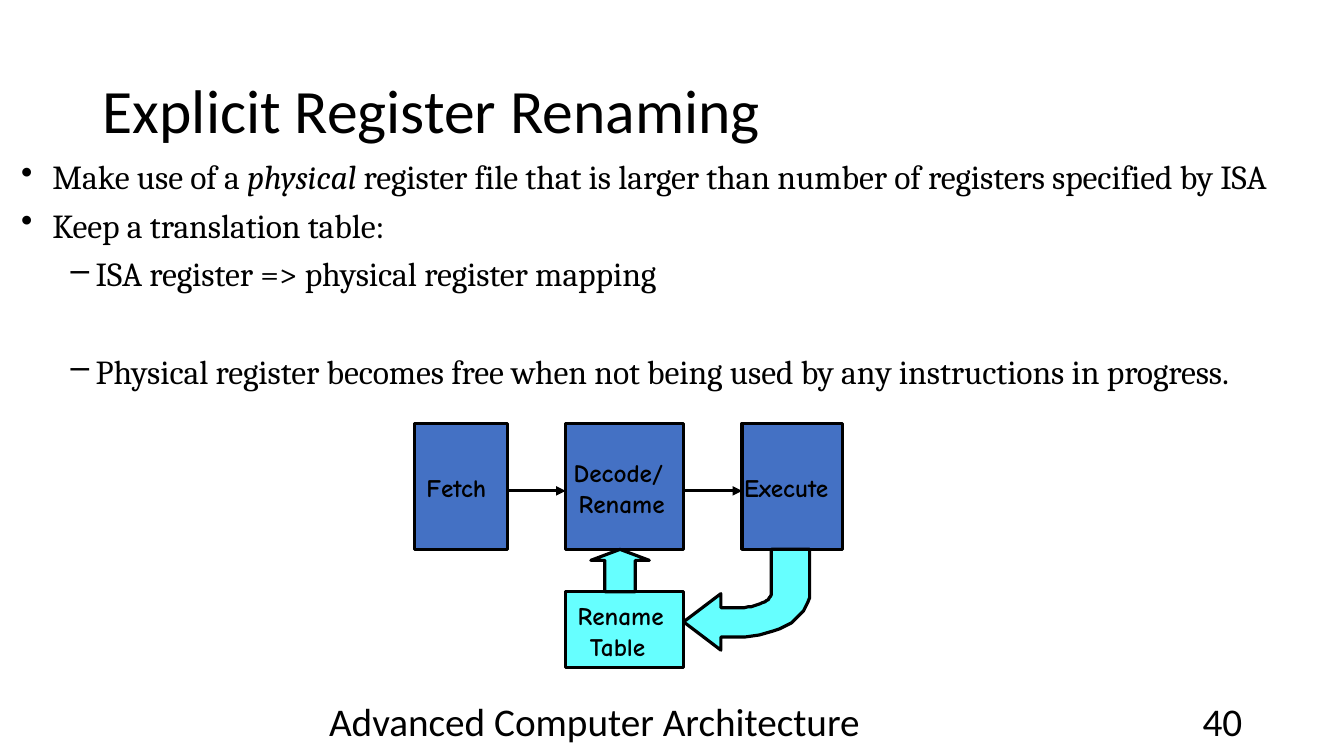
import dataclasses
import math

import pptx
import pptx.dml.color
import pptx.enum.dml
import pptx.enum.shapes
import pptx.enum.text
import pptx.oxml
import pptx.oxml.ns
import pptx.util

EMU_PER_PX = 9144
ALIGN = pptx.enum.text.PP_ALIGN
ANCHOR = pptx.enum.text.MSO_ANCHOR
PRESET = pptx.enum.shapes.MSO_SHAPE


@dataclasses.dataclass(frozen=True)
class Theme:
    ink: str = "000000"
    stage: str = "4471C4"
    table: str = "66FFFF"
    heading_font: str = "Calibri"
    body_font: str = "Cambria"
    label_font: str = "Comic Neue"
    title_size: int = 44
    body_size: int = 24
    footer_size: int = 28
    label_size: int = 18
    line_width: float = 2.28


def px(length):
    return round(length * EMU_PER_PX)


def color(value):
    return pptx.dml.color.RGBColor.from_string(value)


def set_attributes(target, values):
    for name, value in values.items():
        setattr(target, name, value)


class SlideBuilder:
    def __init__(self, presentation, theme):
        self.theme = theme
        self.slide = presentation.slides.add_slide(presentation.slide_layouts[5])

    def style_font(self, font, name, size, **extra):
        set_attributes(font, {"name": name, "size": pptx.util.Pt(size), **extra})
        font.color.rgb = color(self.theme.ink)

    def title(self, text, box):
        shape = self.slide.shapes.title
        set_attributes(shape, dict(zip(("left", "top", "width", "height"), map(px, box))))
        shape.text_frame.text = text
        set_attributes(shape.text_frame, {
            "vertical_anchor": ANCHOR.MIDDLE,
            "auto_size": pptx.enum.text.MSO_AUTO_SIZE.NONE,
        })
        paragraph = shape.text_frame.paragraphs[0]
        set_attributes(paragraph, {"alignment": ALIGN.LEFT, "line_spacing": 0.9})
        self.style_font(paragraph.runs[0].font, self.theme.heading_font, self.theme.title_size)

    def footer(self, text, box, alignment):
        frame = self.slide.shapes.add_textbox(*map(px, box)).text_frame
        frame.text = text
        set_attributes(frame, {"word_wrap": True, "vertical_anchor": ANCHOR.MIDDLE})
        paragraph = frame.paragraphs[0]
        paragraph.alignment = alignment
        self.style_font(paragraph.runs[0].font, self.theme.heading_font, self.theme.footer_size)

    def set_indent(self, paragraph, left, first=0):
        properties = paragraph._p.get_or_add_pPr()
        properties.set("marL", str(px(left)))
        properties.set("indent", str(px(first)))
        return properties

    def bullets(self, items, box):
        """Each item is (level, space before, runs); a run is (text, italic)."""
        levels = ((33, -31, "•"), (76, -25, "–"))
        frame = self.slide.shapes.add_textbox(*map(px, box)).text_frame
        set_attributes(frame, {"word_wrap": True, "margin_left": 0, "margin_right": 0,
                               "margin_top": px(9), "margin_bottom": 0})
        for index, (level, space, runs) in enumerate(items):
            paragraph = frame.add_paragraph() if index else frame.paragraphs[0]
            left, first, mark = levels[level]
            properties = self.set_indent(paragraph, left, first)
            bullet = pptx.oxml.parse_xml(
                f'<a:buChar {pptx.oxml.ns.nsdecls("a")} char="{mark}"/>')
            properties.append(bullet)
            set_attributes(paragraph, {"level": level, "space_before": pptx.util.Pt(space)})
            for text, italic in runs:
                run = paragraph.add_run()
                run.text = text
                self.style_font(run.font, self.theme.body_font, self.theme.body_size,
                                italic=italic)
                run._r.get_or_add_rPr().set("spc", "-5")

    def paint(self, shape, fill):
        shape.shadow.inherit = False
        shape.fill.solid()
        shape.fill.fore_color.rgb = color(fill)
        shape.line.color.rgb = color(self.theme.ink)
        shape.line.width = pptx.util.Pt(self.theme.line_width)

    def preset(self, kind, box, fill, adjustments=()):
        shape = self.slide.shapes.add_shape(kind, *map(px, box))
        for index, value in enumerate(adjustments):
            shape.adjustments[index] = value
        self.paint(shape, fill)
        return shape

    def labelled_box(self, lines, box, fill):
        """Each line is (text, left indent, first-line indent)."""
        frame = self.preset(PRESET.RECTANGLE, box, fill).text_frame
        set_attributes(frame, {"word_wrap": True, "vertical_anchor": ANCHOR.MIDDLE,
                               "margin_left": 0, "margin_right": 0,
                               "margin_top": px(3), "margin_bottom": 0})
        for index, (text, left, first) in enumerate(lines):
            paragraph = frame.add_paragraph() if index else frame.paragraphs[0]
            self.set_indent(paragraph, left, first)
            paragraph.alignment = ALIGN.LEFT
            run = paragraph.add_run()
            run.text = text
            self.style_font(run.font, self.theme.label_font, self.theme.label_size, bold=True)

    def outline(self, points, fill):
        builder = self.slide.shapes.build_freeform(*points[0], scale=EMU_PER_PX)
        builder.add_line_segments(points[1:], close=True)
        self.paint(builder.convert_to_shape(), fill)

    def arrow(self, start, end, y):
        connector = self.slide.shapes.add_connector(
            pptx.enum.shapes.MSO_CONNECTOR.STRAIGHT, px(start), px(y), px(end), px(y))
        connector.line.color.rgb = color(self.theme.ink)
        connector.line.width = pptx.util.Pt(self.theme.line_width)
        namespace = pptx.oxml.ns.nsdecls("a")
        connector.line._get_or_add_ln().append(
            pptx.oxml.parse_xml(f'<a:tailEnd {namespace} type="triangle"/>'))
        connector._element.spPr.append(pptx.oxml.parse_xml(f"<a:effectLst {namespace}/>"))


def quarter_ellipse(center, radii, angles):
    return [(round(center[0] + radii[0] * math.cos(math.radians(angle))),
             round(center[1] + radii[1] * math.sin(math.radians(angle))))
            for angle in angles]


def main():
    presentation = pptx.Presentation()
    set_attributes(presentation, {"slide_width": px(1333), "slide_height": px(750)})
    theme = Theme()
    builder = SlideBuilder(presentation, theme)

    builder.title("Explicit Register Renaming", (92, 40, 1150, 145))
    builder.footer("Advanced Computer Architecture", (287, 695, 605, 40), ALIGN.CENTER)
    builder.footer("40", (942, 695, 300, 40), ALIGN.RIGHT)
    builder.bullets([
        (0, 0, [("Make use of a ", False), ("physical ", True),
                ("register file that is larger than number of registers specified by ISA",
                 False)]),
        (0, 5.8, [("Keep a translation table:", False)]),
        (1, 5.8, [("ISA register => physical register mapping", False)]),
        (1, 41, [("Physical register becomes free when not being used by any "
                  "instructions in progress.", False)]),
    ], (19, 146, 1294, 243))

    stage_top, stage_height = 420, 125
    stages = [("Fetch", 411, 92, 12, 0), ("Decode/ Rename", 561, 117, 13, -5),
              ("Execute", 736, 100, 2, 0)]
    for text, left, width, indent, first in stages:
        builder.labelled_box([(text, indent, first)],
                             (left, stage_top, width, stage_height), theme.stage)
    for source, target in zip(stages, stages[1:]):
        builder.arrow(source[1] + source[2], target[1], 487)

    builder.labelled_box([("Rename", 12, 0), ("Table", 24, 0)],
                         (561, 587, 117, 75), theme.table)
    bend = (731, 589)
    outer = quarter_ellipse(bend, (72, 43), range(0, 91, 6))
    inner = quarter_ellipse(bend, (34, 14), range(90, -1, -6))
    arrowhead = [(715, 632), (715, 645), (678, 617), (715, 589), (715, 603)]
    builder.outline([(765, 545), (803, 545), *outer, *arrowhead, *inner], theme.table)
    builder.preset(PRESET.UP_ARROW, (586, 545, 58, 42), theme.table, (0.52, 0.26))

    presentation.save("out.pptx")


if __name__ == "__main__":
    main()
